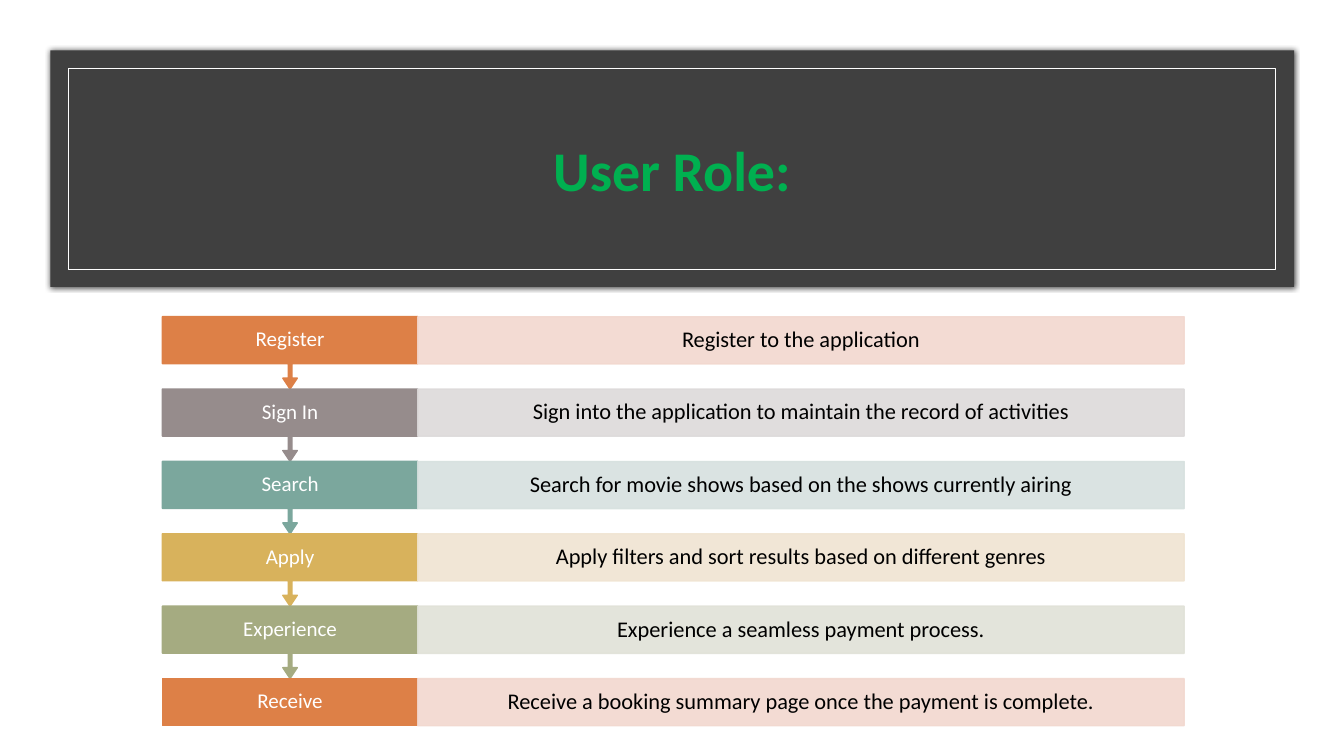
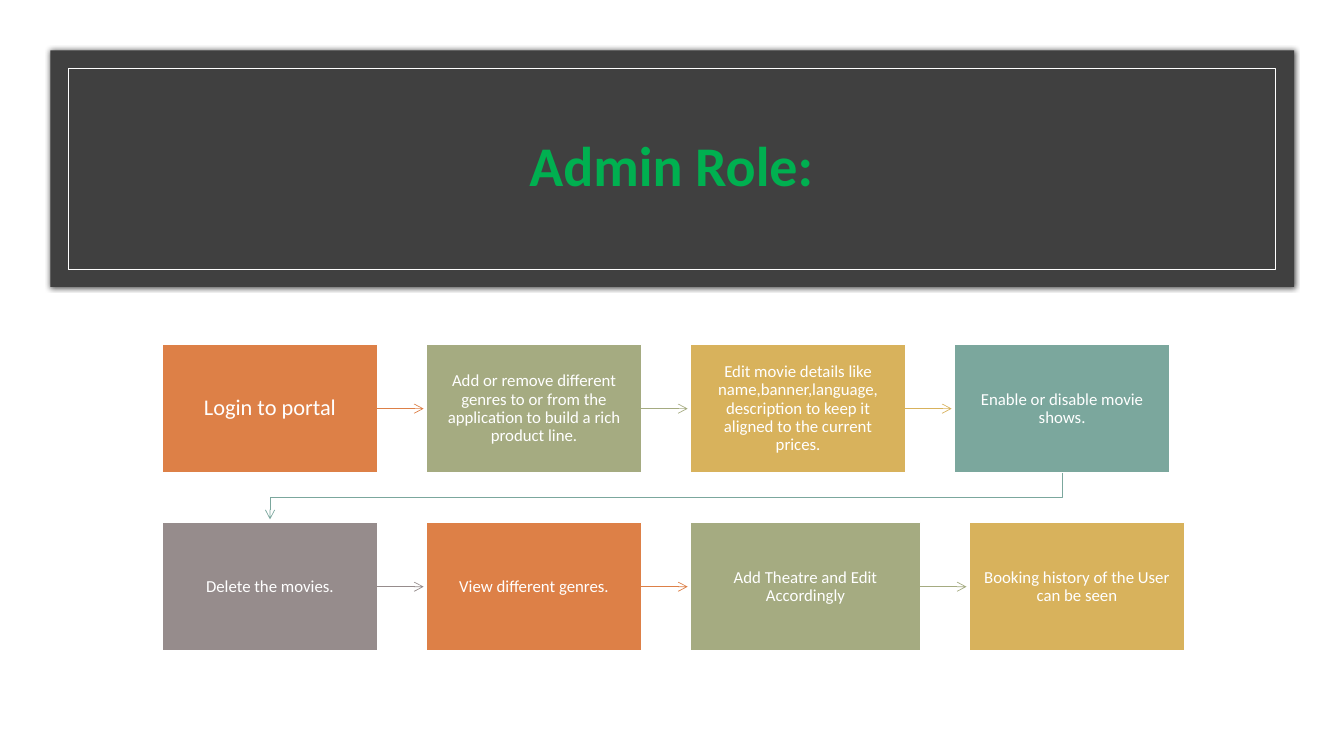
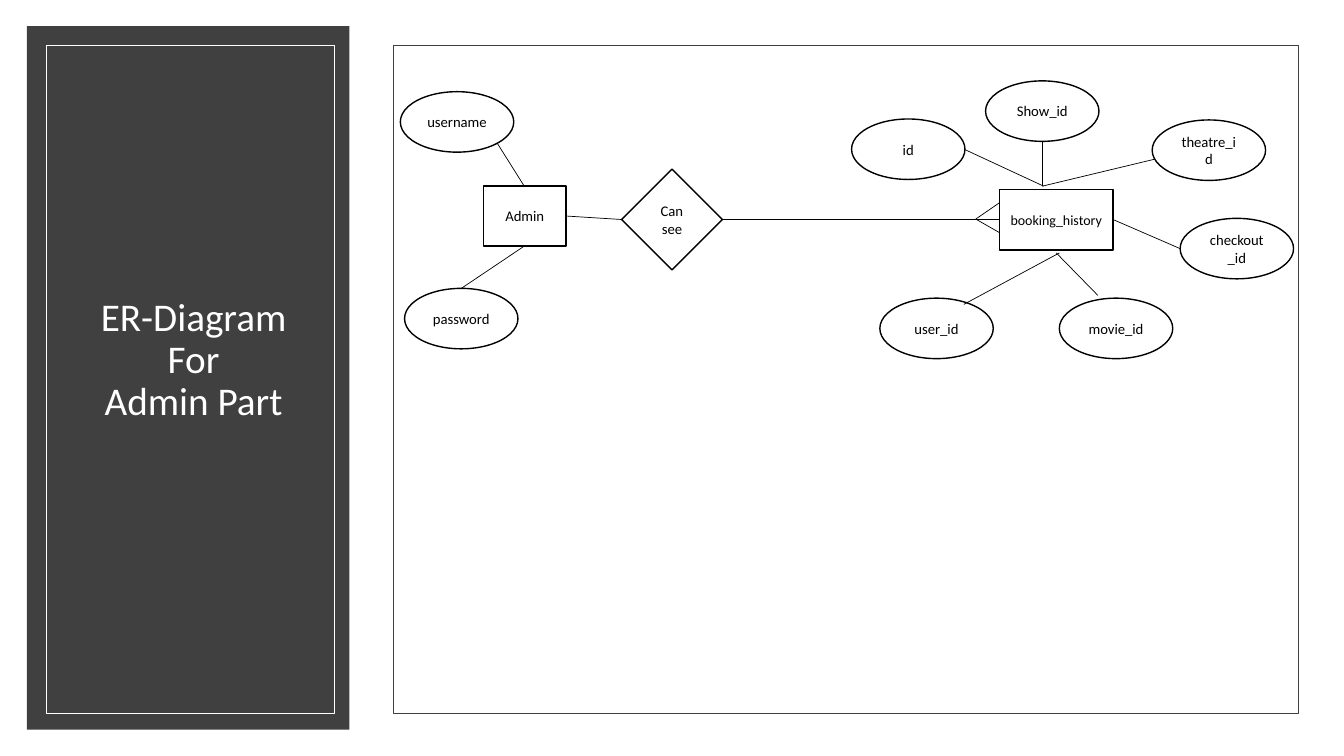
from dataclasses import dataclass
from typing import NamedTuple, Optional

from lxml.etree import SubElement
from pptx import Presentation
from pptx.dml.color import RGBColor
from pptx.enum.shapes import MSO_CONNECTOR, MSO_SHAPE
from pptx.enum.text import MSO_ANCHOR, MSO_AUTO_SIZE, PP_ALIGN
from pptx.oxml.ns import qn
from pptx.util import Pt

WHITE, BLACK, CHARCOAL, GREEN = "FFFFFF", "000000", "404040", "00B050"
ORANGE, TAUPE, TEAL, GOLD, OLIVE = "DD8047", "968C8C", "7BA79D", "D8B25C", "A5AB81"
FONT = "Calibri"
TIGHT = 0.9  # line spacing


class Box(NamedTuple):
    left: float
    top: float
    width: float
    height: float

    def emu(self) -> list:
        return [Pt(v) for v in self]


@dataclass
class Style:
    size: float
    color: str
    bold: bool = False
    spacing: float = 1.0
    inset_x: float = 7.2
    inset_y: float = 3.6
    anchor: MSO_ANCHOR = MSO_ANCHOR.MIDDLE


BANNER_TITLE = Style(40, GREEN, bold=True, spacing=TIGHT)
PANEL_TITLE = Style(28, WHITE, spacing=TIGHT, anchor=MSO_ANCHOR.BOTTOM)
STEP_NAME = Style(15, WHITE, spacing=TIGHT, inset_x=13, inset_y=0)
STEP_DETAIL = Style(16, BLACK, spacing=TIGHT, inset_x=11, inset_y=0)
TASK = Style(12, WHITE, spacing=TIGHT, inset_y=8)
FIRST_TASK = Style(16, WHITE, spacing=TIGHT, inset_y=8)
NODE = Style(10.5, BLACK)
LONG_NODE = Style(10, BLACK)


class Step(NamedTuple):
    name: str
    detail: str
    color: str
    tint: str


class Task(NamedTuple):
    text: str
    color: str
    style: Style = TASK
    width: float = 153.4


class Node(NamedTuple):
    text: str
    kind: MSO_SHAPE
    box: Box
    style: Style = NODE


STEPS = [
    Step("Register", "Register to the application", ORANGE, "F2D8CF"),
    Step("Sign In", "Sign into the application to maintain the record of activities",
         TAUPE, "DDDADA"),
    Step("Search", "Search for movie shows based on the shows currently airing",
         TEAL, "D7E1DF"),
    Step("Apply", "Apply filters and sort results based on different genres",
         GOLD, "F0E4D2"),
    Step("Experience", "Experience a seamless payment process.", OLIVE, "E1E2D8"),
    Step("Receive", "Receive a booking summary page once the payment is complete.",
         ORANGE, "F2D8CF"),
]

TASK_ROWS = [
    [
        Task("Login to portal", ORANGE, FIRST_TASK),
        Task("Add or remove different genres to or from the application "
             "to build a rich product line.", OLIVE),
        Task("Edit movie details like name,banner,language, description "
             "to keep it aligned to the current prices.", GOLD),
        Task("Enable or disable movie shows.", TEAL),
    ],
    [
        Task("Delete the movies.", TAUPE),
        Task("View different genres.", ORANGE),
        Task("Add Theatre and Edit Accordingly", OLIVE, width=164),
        Task("Booking history of the User can be seen", GOLD),
    ],
]

ATTRIBUTES = [
    ("username", 286, 65.5), ("password", 289, 206), ("id", 608.3, 85),
    ("Show_id", 704, 57.8), ("theatre_id", 823, 85.7), ("checkout_id", 843, 156),
    ("user_id", 628.5, 213), ("movie_id", 756.7, 213),
]
NODES = [Node(text, MSO_SHAPE.OVAL, Box(x, y, 81, 43.2)) for text, x, y in ATTRIBUTES] + [
    Node("Admin", MSO_SHAPE.RECTANGLE, Box(345.5, 133, 58.7, 42.8)),
    Node("Can\nsee", MSO_SHAPE.DIAMOND, Box(444, 120.8, 72, 72)),
    Node("booking_history", MSO_SHAPE.RECTANGLE, Box(714, 135.4, 81, 43.2), LONG_NODE),
]
LINKS = [
    (355, 102, 374.5, 133), (374.5, 175.8, 329.5, 206), (404.2, 154.3, 444, 156.8),
    (516, 156.8, 714, 156.8),
    (697.5, 156.8, 714, 166.2), (697, 156.5, 713.7, 145),  # crow's foot
    (689.5, 107, 745.5, 133), (744.5, 101, 744.5, 133), (744.5, 133, 824.5, 113.8),
    (795, 156.8, 843, 177.6), (754.5, 180.7, 784.2, 211), (688.5, 217.4, 756.7, 180.7),
]


def rgb(color: str) -> RGBColor:
    return RGBColor.from_string(color)


def apply(target, values: dict) -> None:
    for name, value in values.items():
        setattr(target, name, value)


def write(shape, text: str, style: Style) -> None:
    frame = shape.text_frame
    frame.text = text
    apply(frame, {
        "word_wrap": True, "auto_size": MSO_AUTO_SIZE.NONE,
        "vertical_anchor": style.anchor,
        "margin_left": Pt(style.inset_x), "margin_right": Pt(style.inset_x),
        "margin_top": Pt(style.inset_y), "margin_bottom": Pt(style.inset_y),
    })
    for paragraph in frame.paragraphs:
        apply(paragraph, {"alignment": PP_ALIGN.CENTER, "line_spacing": style.spacing})
        for run in paragraph.runs:
            apply(run.font, {"name": FONT, "size": Pt(style.size), "bold": style.bold})
            run.font.color.rgb = rgb(style.color)


def paint(shape, fill: Optional[str], line: Optional[str], weight: float) -> None:
    shape.shadow.inherit = False
    if fill:
        shape.fill.solid()
        shape.fill.fore_color.rgb = rgb(fill)
    else:
        shape.fill.background()
    if line:
        shape.line.color.rgb = rgb(line)
        shape.line.width = Pt(weight)
    else:
        shape.line.fill.background()


def add_block(slide, box: Box, fill: Optional[str] = None, line: Optional[str] = None,
              weight: float = 1, kind: MSO_SHAPE = MSO_SHAPE.RECTANGLE):
    block = slide.shapes.add_shape(kind, *box.emu())
    paint(block, fill, line, weight)
    return block


def set_alpha(shape, percent: int) -> None:
    for color in shape.element.spPr.iter(qn("a:srgbClr")):
        SubElement(color, qn("a:alpha"), val=str(percent * 1000))


def add_glow(shape) -> None:
    effects = shape.element.spPr.find(qn("a:effectLst"))
    shadow = SubElement(effects, qn("a:outerShdw"), blurRad=str(Pt(4)), dist="0", dir="0")
    color = SubElement(shadow, qn("a:srgbClr"), val=BLACK)
    SubElement(color, qn("a:alpha"), val="66000")


def add_arrowhead(shape) -> None:
    SubElement(shape.element.spPr.find(qn("a:ln")), qn("a:tailEnd"), type="arrow")


def add_link(slide, ends: tuple, color: str = BLACK):
    link = slide.shapes.add_connector(MSO_CONNECTOR.STRAIGHT, *[Pt(v) for v in ends])
    link.line.color.rgb = rgb(color)
    link.line.width = Pt(0.5)
    SubElement(link.element.spPr, qn("a:effectLst"))
    return link


def add_titled_slide(prs, title: str, title_box: Box, style: Style,
                     panel: Box, frame: Box, glow: bool = False):
    slide = prs.slides.add_slide(prs.slide_layouts[5])
    slide.background.fill.solid()
    slide.background.fill.fore_color.rgb = rgb(WHITE)
    backdrop = add_block(slide, panel, CHARCOAL)
    if glow:
        add_glow(backdrop)
    add_block(slide, frame, line=WHITE, weight=0.5)
    # The title goes in front of its panel
    heading = slide.shapes.title
    slide.shapes.element.append(heading.element)
    apply(heading, dict(zip(("left", "top", "width", "height"), title_box.emu())))
    write(heading, title, style)
    return slide


def add_banner_slide(prs, title: str, title_left: float, title_top: float):
    return add_titled_slide(prs, title, Box(title_left, title_top, 792, 108), BANNER_TITLE,
                            Box(36, 36, 888.5, 169), Box(48.5, 49, 862.5, 143.3), glow=True)


def build_user_role(prs) -> None:
    slide = add_banner_slide(prs, "User Role:", 84, 70)
    left, top, pitch, name_width, row_height = 116, 226.2, 51.7, 182.4, 33.7
    for index, step in enumerate(STEPS):
        y = top + index * pitch
        if index < len(STEPS) - 1:
            name = add_block(slide, Box(left, y, name_width, pitch), step.color, step.color,
                             kind=MSO_SHAPE.DOWN_ARROW_CALLOUT)
            for position, value in enumerate((0.05, 0.1, 0.15, 0.65)):
                name.adjustments[position] = value
        else:
            name = add_block(slide, Box(left, y, name_width, row_height),
                             step.color, step.color)
        write(name, step.name, STEP_NAME)
        detail = add_block(slide, Box(left + name_width, y, 547.4, row_height),
                           step.tint, step.tint)
        set_alpha(detail, 90)
        write(detail, step.detail, STEP_DETAIL)


def build_admin_role(prs) -> None:
    slide = add_banner_slide(prs, "Admin Role:", 83.5, 66)
    left, top, height, pitch, gap = 116.2, 246, 91.8, 127.2, 35.2
    for row_index, row in enumerate(TASK_ROWS):
        x, y = left, top + row_index * pitch
        for task in row:
            block = add_block(slide, Box(x, y, task.width, height), task.color, WHITE)
            write(block, task.text, task.style)
            right, middle = x + task.width, y + height / 2
            if task is not row[-1]:
                arrow = add_link(slide, (right, middle, right + 33, middle), task.color)
                add_arrowhead(arrow)
            x = right + gap

    # Bent arrow from the end of the first row to the start of the second
    first, last = TASK_ROWS[0][0], TASK_ROWS[0][-1]
    start_x = left + 3 * (first.width + gap) + last.width / 2
    end_x, start_y = left + first.width / 2, top + height
    turn_y, end_y = start_y + 17.7, top + pitch - 2.2
    outline = slide.shapes.build_freeform(Pt(start_x), Pt(start_y))
    corners = [(start_x, turn_y), (end_x, turn_y), (end_x, end_y)]
    outline.add_line_segments([(Pt(x), Pt(y)) for x, y in corners], close=False)
    bend = outline.convert_to_shape()
    paint(bend, None, last.color, 0.5)
    add_arrowhead(bend)


def build_er_diagram(prs) -> None:
    slide = add_titled_slide(prs, "ER-Diagram\nFor\nAdmin Part", Box(46.8, 191.5, 183, 115.2),
                             PANEL_TITLE, Box(19.2, 18.7, 230.4, 502.5),
                             Box(33, 32.4, 206, 477.5))
    add_block(slide, Box(281, 32.4, 646.5, 477.5), line=CHARCOAL, weight=0.5)
    for node in NODES:
        write(add_block(slide, node.box, WHITE, BLACK, kind=node.kind), node.text, node.style)
    for ends in LINKS:
        add_link(slide, ends)


def main() -> None:
    prs = Presentation()
    prs.slide_width, prs.slide_height = Pt(960), Pt(540)
    build_user_role(prs)
    build_admin_role(prs)
    build_er_diagram(prs)
    prs.save("out.pptx")


if __name__ == "__main__":
    main()
